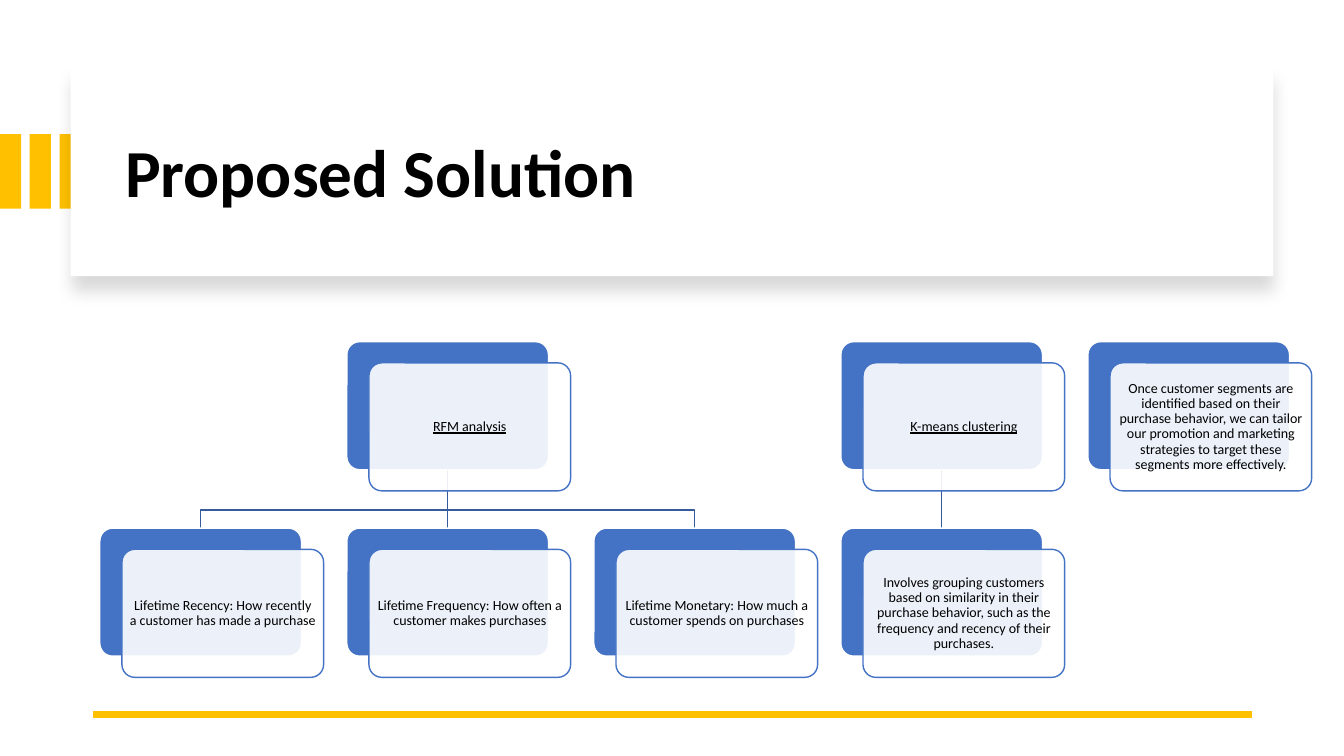
import dataclasses

import lxml.etree
import pptx
import pptx.dml.color
import pptx.enum.shapes
import pptx.enum.text
import pptx.oxml.ns
import pptx.util

Inches = pptx.util.Inches
Pt = pptx.util.Pt
RGBColor = pptx.dml.color.RGBColor
MSO_SHAPE = pptx.enum.shapes.MSO_SHAPE
STRAIGHT = pptx.enum.shapes.MSO_CONNECTOR.STRAIGHT
PP_ALIGN = pptx.enum.text.PP_ALIGN
MIDDLE = pptx.enum.text.MSO_ANCHOR.MIDDLE
qn = pptx.oxml.ns.qn


@dataclasses.dataclass(frozen=True)
class Theme:
    font: str = "Calibri"
    gold: RGBColor = RGBColor(0xFF, 0xC0, 0x00)
    blue: RGBColor = RGBColor(0x44, 0x72, 0xC4)
    link: RGBColor = RGBColor(0x36, 0x5B, 0x9D)
    white: RGBColor = RGBColor(0xFF, 0xFF, 0xFF)
    black: RGBColor = RGBColor(0x00, 0x00, 0x00)
    title_size: Pt = Pt(48)
    card_size: Pt = Pt(10)


theme = Theme()
presentation = pptx.Presentation()
presentation.slide_width = Inches(13.33)
presentation.slide_height = Inches(7.5)
slide = presentation.slides.add_slide(presentation.slide_layouts[5])
shapes = slide.shapes


def add_block(kind, left, top, width, height, fill, line=None):
    shape = shapes.add_shape(kind, Inches(left), Inches(top), Inches(width), Inches(height))
    shape.shadow.inherit = False
    shape.fill.solid()
    shape.fill.fore_color.rgb = fill
    if line is None:
        shape.line.fill.background()
    else:
        shape.line.color.rgb = line
        shape.line.width = Pt(1)
    return shape


def add_straight(start, end, color, width):
    connector = shapes.add_connector(STRAIGHT, *(Inches(value) for value in start + end))
    connector.line.color.rgb = color
    connector.line.width = Pt(width)
    lxml.etree.SubElement(connector._element.spPr, qn("a:effectLst"))
    return connector


for index in range(3):
    add_block(MSO_SHAPE.RECTANGLE, 0.295 * index, 1.33, 0.21, 0.74, theme.gold)

panel = add_block(MSO_SHAPE.RECTANGLE, 0.7, 0.67, 11.93, 2.07, theme.white)
effects = panel._element.spPr.find(qn("a:effectLst"))
shadow = lxml.etree.SubElement(
    effects, qn("a:outerShdw"), blurRad=str(Pt(11)), dist=str(Pt(10)),
    dir="5400000", algn="t", rotWithShape="0")
shadow_color = lxml.etree.SubElement(shadow, qn("a:srgbClr"), val=str(theme.black))
lxml.etree.SubElement(shadow_color, qn("a:alpha"), val="15000")

title = shapes.title
title.left, title.top = Inches(1.14), Inches(0.89)
title.width, title.height = Inches(11.13), Inches(1.7)
title.text_frame.vertical_anchor = MIDDLE
paragraph = title.text_frame.paragraphs[0]
paragraph.alignment = PP_ALIGN.LEFT
paragraph.line_spacing = 0.9
run = paragraph.add_run()
run.text = "Proposed Solution"
run.font.name = theme.font
run.font.size = theme.title_size
run.font.bold = True
run.font.color.rgb = theme.black
panel._element.addnext(title._element)

add_straight((12.42, 7.09), (0.92, 7.09), theme.gold, 4.5)

card_width, card_height = 2, 1.27
column_left = [0.99 + 2.45 * column for column in range(5)]
column_center = [left + card_width / 2 for left in column_left]
row_top = [3.39, 5.24]
link_top, link_turn, link_bottom = row_top[0] + card_height, 5.06, row_top[1]

for child_column in (0, 2):
    parent_x, child_x = column_center[1], column_center[child_column]
    builder = shapes.build_freeform(Inches(parent_x), Inches(link_top))
    corners = [(parent_x, link_turn), (child_x, link_turn), (child_x, link_bottom)]
    builder.add_line_segments([(Inches(x), Inches(y)) for x, y in corners], close=False)
    branch = builder.convert_to_shape()
    branch.shadow.inherit = False
    branch.fill.background()
    branch.line.color.rgb = theme.link
    branch.line.width = Pt(1)

straight_links = {
    column: add_straight((column_center[column], link_top),
                         (column_center[column], link_bottom), theme.link, 1)
    for column in (1, 3)
}

cards = [
    (1, 0, "RFM analysis", True),
    (0, 1, "Lifetime Recency: How recently a customer has made a purchase", False),
    (1, 1, "Lifetime Frequency: How often a customer makes purchases", False),
    (2, 1, "Lifetime Monetary: How much a customer spends on purchases", False),
    (3, 0, "K-means clustering", True),
    (3, 1, "Involves grouping customers based on similarity in their purchase behavior, "
           "such as the frequency and recency of their purchases.", False),
    (4, 0, "Once customer segments are identified based on their purchase behavior, "
           "we can tailor our promotion and marketing strategies to target these "
           "segments more effectively.", False),
]
backs = {}
for column, row, text, underlined in cards:
    left, top = column_left[column], row_top[row]
    back = add_block(MSO_SHAPE.ROUNDED_RECTANGLE, left, top, card_width, card_height,
                     theme.blue, theme.white)
    front = add_block(MSO_SHAPE.ROUNDED_RECTANGLE, left + 0.22, top + 0.21,
                      card_width, card_height, theme.white, theme.blue)
    back.adjustments[0] = front.adjustments[0] = 0.1
    backs[column, row] = back
    fill_color = front._element.spPr.find(qn("a:solidFill")).find(qn("a:srgbClr"))
    lxml.etree.SubElement(fill_color, qn("a:alpha"), val="90000")

    frame = front.text_frame
    frame.word_wrap = True
    frame.vertical_anchor = MIDDLE
    frame.margin_left = frame.margin_right = Inches(0.04)
    frame.margin_top = frame.margin_bottom = Inches(0.04)
    paragraph = frame.paragraphs[0]
    paragraph.alignment = PP_ALIGN.CENTER
    paragraph.line_spacing = 0.9
    paragraph.space_after = Pt(3.5)
    run = paragraph.add_run()
    run.text = text
    run.font.name = theme.font
    run.font.size = theme.card_size
    run.font.color.rgb = theme.black
    run.font.underline = underlined

for column, connector in straight_links.items():
    connector.begin_connect(backs[column, 0], 2)
    connector.end_connect(backs[column, 1], 0)

presentation.save("out.pptx")
